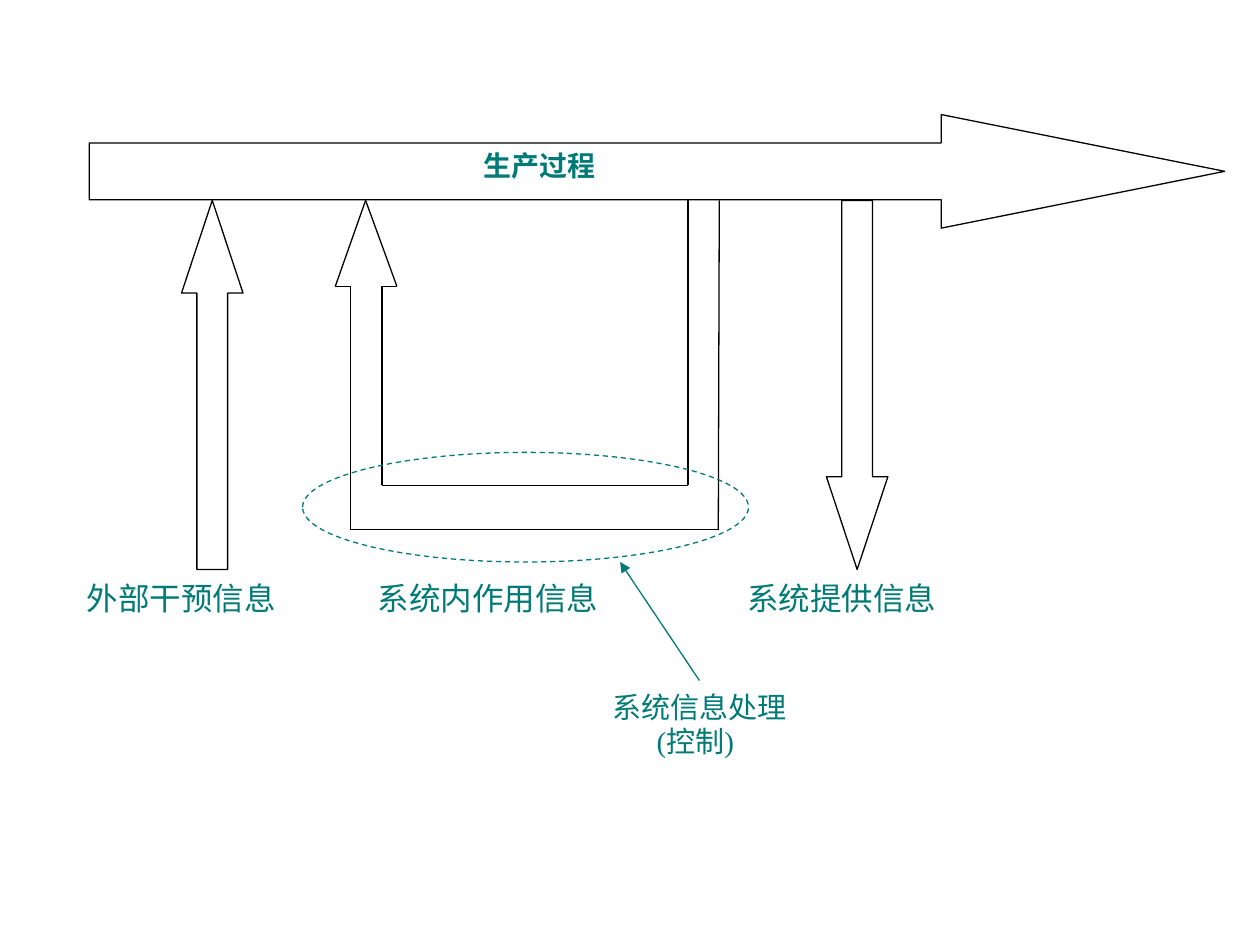
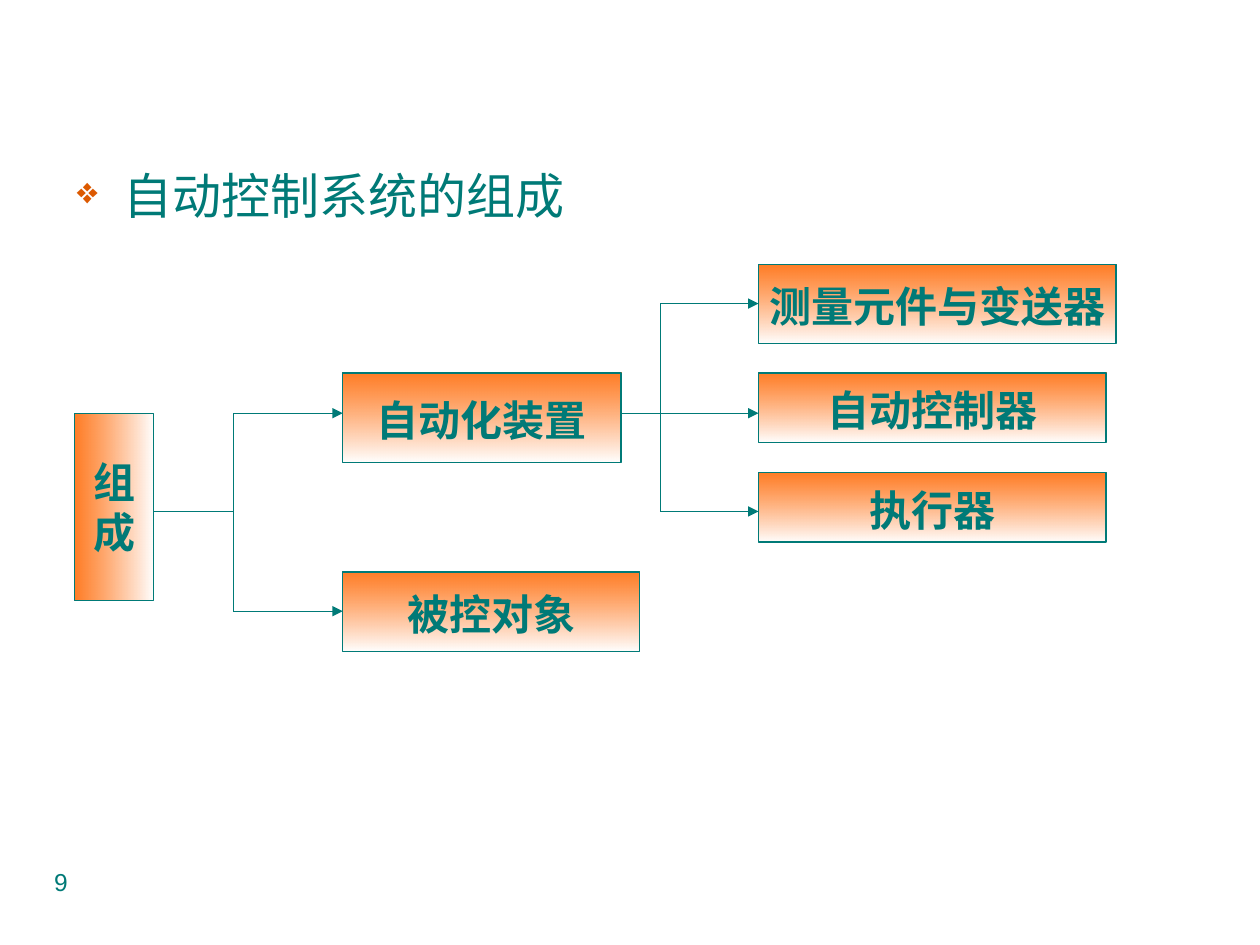
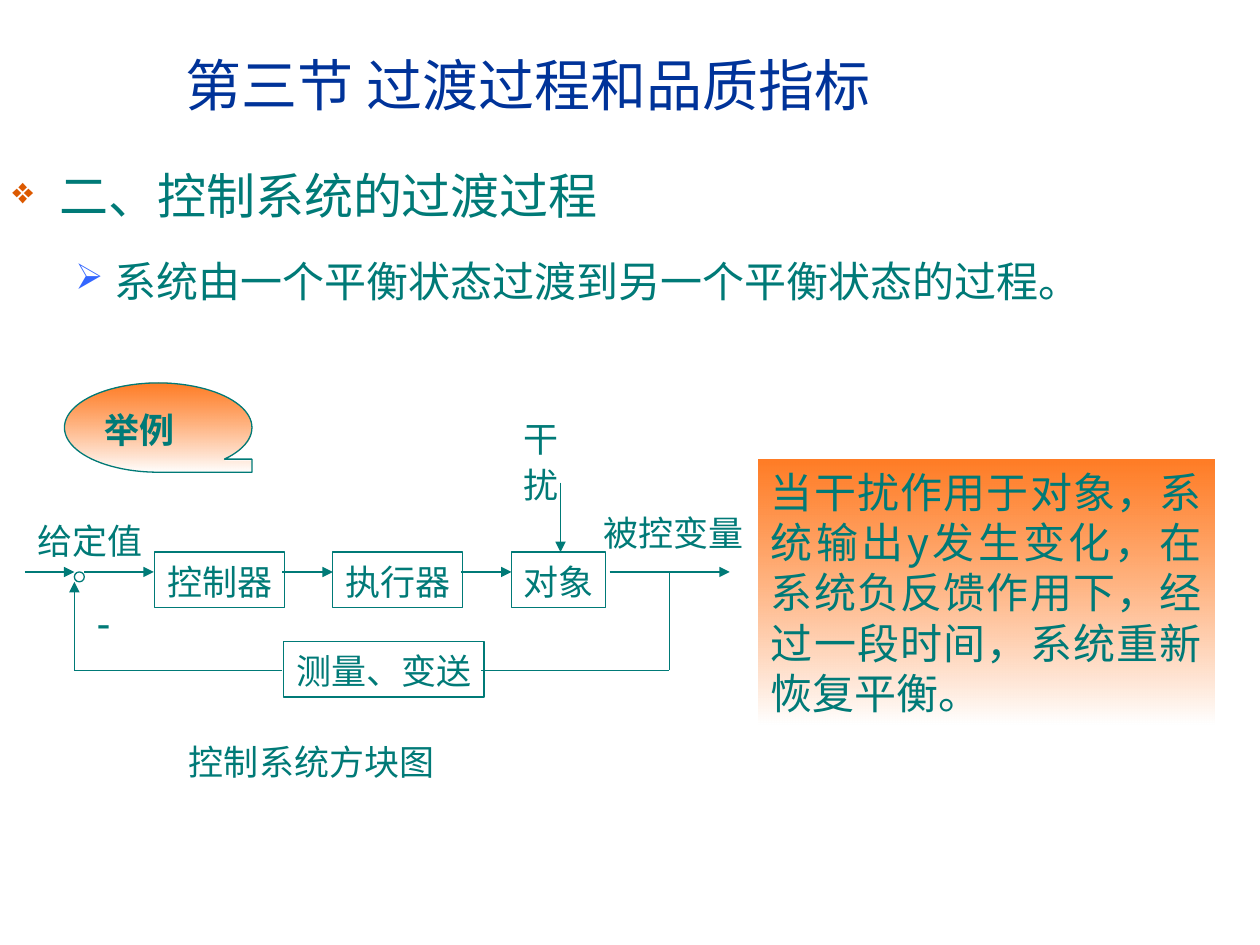
import pptx
import pptx.dml.color
import pptx.enum.dml
import pptx.enum.shapes
import pptx.enum.text
import pptx.oxml
import pptx.oxml.ns
import pptx.util

Cm = pptx.util.Cm
Pt = pptx.util.Pt
RGBColor = pptx.dml.color.RGBColor
SHAPE = pptx.enum.shapes.MSO_SHAPE
ALIGN = pptx.enum.text.PP_ALIGN
ANCHOR = pptx.enum.text.MSO_ANCHOR
qn = pptx.oxml.ns.qn

TEAL = RGBColor(0x00, 0x7A, 0x77)
NAVY = RGBColor(0x00, 0x33, 0x99)
BLACK = RGBColor(0x00, 0x00, 0x00)
WHITE = RGBColor(0xFF, 0xFF, 0xFF)
ORANGE = RGBColor(0xFF, 0x66, 0x00)
RUST = RGBColor(0xDC, 0x59, 0x00)
BLUE = RGBColor(0x33, 0x66, 0xFF)

SANS = "Arial"
SERIF = "Times New Roman"
CJK = "Noto Sans CJK SC"

# All places are left, top, width, height in centimetres.
# Slide 1: information flow around the production process
PROCESS_ARROW = (1.8, 2.31, 22.89, 2.29)
PROCESS_LABEL = ("生产过程", (9.5, 2.82, 2.9, 1.09))
PROCESS_EDGE = 4.04
FLOW_ARROWS = [(SHAPE.UP_ARROW, 3.66), (SHAPE.DOWN_ARROW, 16.66)]
FEEDBACK_LOOP = [
    (14.5, PROCESS_EDGE), (14.48, 10.68), (7.06, 10.68), (7.06, 5.77),
    (6.76, 5.77), (7.37, PROCESS_EDGE), (8, 5.77), (7.7, 5.77),
    (7.7, 9.78), (13.87, 9.78), (13.87, PROCESS_EDGE),
]
FLOW_LABELS = [
    ("外部干预信息", 1.5, 4.95),
    ("系统内作用信息", 7.37, 5.56),
    ("系统提供信息", 14.81, 4.95),
]
CONTROL_ELLIPSE = (6.1, 9.12, 8.99, 2.21)
CONTROL_NOTE = (12.09, 13.82, 4.6, 1.73)
CONTROL_POINTER = [(14.1, 13.72), (12.5, 11.33)]

# Slide 2: composition tree
COMPOSITION_HEADING = "自动控制系统的组成"
TREE_BOXES = [
    (["组", "成"], (1.5, 8.33, 1.6, 3.78)),
    (["自动化装置"], (6.91, 7.52, 5.61, 1.8)),
    (["被控对象"], (6.91, 11.53, 5.99, 1.6)),
    (["测量元件与变送器"], (15.29, 5.33, 7.21, 1.6)),
    (["自动控制器"], (15.29, 7.52, 7.01, 1.4)),
    (["执行器"], (15.29, 9.53, 7.01, 1.4)),
]
# start x, spine x, end x, stem y, branch ys
TREE_FORKS = [
    (3.1, 4.7, 6.91, 10.31, [8.33, 12.32]),
    (12.5, 13.31, 15.29, 8.33, [6.12, 8.33, 10.31]),
]

# Slide 3: block diagram of a control system
SECTION_TITLE = "第三节 过渡过程和品质指标"
TRANSITION_HEADING = "二、控制系统的过渡过程"
TRANSITION_POINT = "系统由一个平衡状态过渡到另一个平衡状态的过程。"
DISTURBANCE_NOTE = ("当干扰作用于对象，系统输出y发生变化，在系统负反馈作用下，"
                    "经过一段时间，系统重新恢复平衡。")
SIGNAL_Y = 11.53
RETURN_Y = 13.51
BLOCK_HEIGHT = 1.12
BLOCKS = [
    ("控制器", 3.12, 11.13, 2.62),
    ("执行器", 6.71, 11.13, 2.62),
    ("对象", 10.31, 11.13, 1.9),
    ("测量、变送", 5.72, 12.93, 4.04),
]
SIGNAL_LABELS = [
    ("被控变量", 11.91, 10.13, 3.33),
    ("给定值", 0.5, 10.31, 2.62),
    ("干扰", 10.31, 8.71, 1.9),
]
SIGNAL_SPANS = [(0.5, 1.5), (1.7, 3.1), (5.69, 6.71), (9.3, 10.31), (12.29, 14.71)]
DISTURBANCE_ROUTE = [(11.3, 9.73), (11.3, 11.13)]
OUTPUT_RETURN = [(13.49, SIGNAL_Y), (13.49, RETURN_Y), (9.7, RETURN_Y)]
INPUT_RETURN = [(5.69, RETURN_Y), (1.5, RETURN_Y), (1.5, 11.73)]


def add_element(parent, tag, **attributes):
    element = pptx.oxml.parse_xml(f"<{tag} {pptx.oxml.ns.nsdecls('a')}/>")
    for name, value in attributes.items():
        element.set(name, str(value))
    parent.append(element)
    return element


def place_of(place):
    return [Cm(length) for length in place]


def write(shape, text, size=24, font=SERIF, color=TEAL, bold=False, align=ALIGN.LEFT,
          leading=1.3, before=0, left=0, hanging=0, bullet=None, level=0):
    """Append a paragraph; bullet is (character, colour, percent of text size)."""
    frame = shape.text_frame
    paragraph = frame.paragraphs[0] if not frame.text else frame.add_paragraph()
    properties = paragraph._p.get_or_add_pPr()
    if left:
        properties.set("marL", str(Cm(left)))
        properties.set("indent", str(-Cm(hanging)))
    if bullet:
        character, bullet_color, percent = bullet
        add_element(add_element(properties, "a:buClr"), "a:srgbClr", val=bullet_color)
        add_element(properties, "a:buSzPct", val=percent * 1000)
        add_element(properties, "a:buChar", char=character)
    paragraph.level = level
    paragraph.alignment = align
    if leading:
        paragraph.line_spacing = Pt(size * leading)
    if before:
        paragraph.space_before = Pt(before)
    run = paragraph.add_run()
    run.text = text
    run.font.name = font
    run.font.size = Pt(size)
    run.font.bold = bold
    run.font.color.rgb = color
    add_element(run._r.get_or_add_rPr(), "a:ea", typeface=CJK)


def add_box(slide, place, wrap=True, anchor=ANCHOR.TOP):
    box = slide.shapes.add_textbox(*place_of(place))
    box.text_frame.word_wrap = wrap
    box.text_frame.vertical_anchor = anchor
    return box


def add_figure(slide, kind, place, line=TEAL, gradient_angle=None, wrap=False):
    """Add a preset shape, hollow unless an angle for the orange gradient is given."""
    shape = slide.shapes.add_shape(kind, *place_of(place))
    shape.shadow.inherit = False
    if gradient_angle is None:
        shape.fill.background()
    else:
        shape.fill.gradient()
        shape.fill.gradient_angle = gradient_angle
        for stop, color in zip(shape.fill.gradient_stops, (ORANGE, WHITE)):
            stop.color.rgb = color
        first_color = next(shape._element.spPr.iter(qn("a:srgbClr")))
        add_element(first_color, "a:alpha", val=85000)
    if line is None:
        shape.line.fill.background()
    else:
        shape.line.color.rgb = line
        shape.line.width = Pt(0.75)
    shape.text_frame.word_wrap = wrap
    shape.text_frame.vertical_anchor = ANCHOR.MIDDLE
    return shape


def add_route(slide, points, color=TEAL, arrow=False):
    """Join the points by straight lines; arrow puts a head at the last point."""
    for start, end in zip(points, points[1:]):
        connector = slide.shapes.add_connector(
            pptx.enum.shapes.MSO_CONNECTOR.STRAIGHT, *place_of(start + end))
        connector.line.color.rgb = color
        connector.line.width = Pt(0.75)
        if arrow and end == points[-1]:
            add_element(connector.line._get_or_add_ln(), "a:tailEnd", type="triangle")
        add_element(connector._element.spPr, "a:effectLst")


def add_fork(slide, start_x, spine_x, end_x, stem_y, branch_ys):
    add_route(slide, [(start_x, stem_y), (spine_x, stem_y)])
    add_route(slide, [(spine_x, branch_ys[0]), (spine_x, branch_ys[-1])])
    for y in branch_ys:
        add_route(slide, [(spine_x, y), (end_x, y)], arrow=True)


def add_heading(slide, text, place):
    body = add_box(slide, place)
    write(body, text, size=28, font=SANS, left=0.95, hanging=0.95,
          bullet=("❖", RUST, 75))
    return body


def build_information_flow(slide):
    arrow = add_figure(slide, SHAPE.RIGHT_ARROW, PROCESS_ARROW, line=BLACK)
    arrow.adjustments[1] = 2.496
    for kind, left in FLOW_ARROWS:
        arrow = add_figure(slide, kind, (left, PROCESS_EDGE, 1.24, 7.44), line=BLACK)
        arrow.adjustments[1] = 1.508
    add_route(slide, FEEDBACK_LOOP, color=BLACK)

    for text, left, width in FLOW_LABELS:
        label = add_box(slide, (left, 11.48, width, 1.73))
        write(label, text, size=18, align=ALIGN.JUSTIFY)
    text, place = PROCESS_LABEL
    write(add_box(slide, place), text, size=16, bold=True, align=ALIGN.JUSTIFY)

    ellipse = add_figure(slide, SHAPE.OVAL, CONTROL_ELLIPSE)
    ellipse.line.dash_style = pptx.enum.dml.MSO_LINE.DASH
    note = add_box(slide, CONTROL_NOTE)
    for text, left in [("系统信息处理", 0), ("(控制)", 0.9)]:
        write(note, text, size=16.6, leading=1.14, left=left, align=ALIGN.JUSTIFY)
    add_route(slide, CONTROL_POINTER, arrow=True)


def build_composition(slide):
    write(add_box(slide, (0.84, 17.35, 6.35, 1.32)), "9", size=14, font=SANS, leading=None)
    add_heading(slide, COMPOSITION_HEADING, (1.3, 3.12, 22.86, 14.5))
    for lines, place in TREE_BOXES:
        upright = place[3] > place[2]
        box = add_figure(slide, SHAPE.RECTANGLE, place, gradient_angle=0 if upright else 270)
        for text in lines:
            write(box, text, bold=True, align=ALIGN.CENTER,
                  leading=1.2 if len(lines) > 1 else 1.3)
    for fork in TREE_FORKS:
        add_fork(slide, *fork)


def build_block_diagram(slide):
    title = add_box(slide, (0, 0.53, 21.31, 2.21), anchor=ANCHOR.MIDDLE)
    write(title, SECTION_TITLE, size=32, font=SANS, color=NAVY, align=ALIGN.CENTER)
    body = add_heading(slide, TRANSITION_HEADING, (0, 3.12, 22.43, 3.4))
    write(body, TRANSITION_POINT, font=CJK, before=15.5, left=2.06, hanging=0.79,
          bullet=("➢", BLUE, 85), level=1)

    note = add_figure(slide, SHAPE.RECTANGLE, (15.29, 9.27, 9.19, 5.33),
                      line=None, gradient_angle=270, wrap=True)
    write(note, DISTURBANCE_NOTE, font=CJK, align=ALIGN.JUSTIFY, leading=1.2)
    example = add_figure(slide, SHAPE.FLOWCHART_SEQUENTIAL_ACCESS_STORAGE,
                         (1.3, 7.72, 3.78, 1.8), gradient_angle=270)
    write(example, "举例", size=20, font=SANS, bold=True)
    caption = add_box(slide, (3.56, 14.73, 5.46, BLOCK_HEIGHT), wrap=False)
    write(caption, "控制系统方块图", size=20, font=CJK)

    for text, left, top, width in BLOCKS:
        block = add_figure(slide, SHAPE.RECTANGLE, (left, top, width, BLOCK_HEIGHT))
        write(block, text, size=20, font=SANS)
    for text, left, top, width in SIGNAL_LABELS:
        label = add_box(slide, (left, top, width, BLOCK_HEIGHT),
                        wrap=False, anchor=ANCHOR.MIDDLE)
        write(label, text, size=20, font=SANS)
    write(add_box(slide, (1.7, 11.91, 0.81, 1.27)), "-", font=SANS, leading=None)

    add_figure(slide, SHAPE.FLOWCHART_CONNECTOR, (1.5, SIGNAL_Y, 0.2, 0.2))
    for start_x, end_x in SIGNAL_SPANS:
        add_route(slide, [(start_x, SIGNAL_Y), (end_x, SIGNAL_Y)], arrow=True)
    add_route(slide, DISTURBANCE_ROUTE, arrow=True)
    add_route(slide, OUTPUT_RETURN)
    add_route(slide, INPUT_RETURN, arrow=True)


def main():
    presentation = pptx.Presentation()
    presentation.slide_width = Cm(25.4)
    presentation.slide_height = Cm(19.05)
    blank_layout = presentation.slide_layouts[6]
    for build in (build_information_flow, build_composition, build_block_diagram):
        build(presentation.slides.add_slide(blank_layout))
    presentation.save("out.pptx")


if __name__ == "__main__":
    main()
